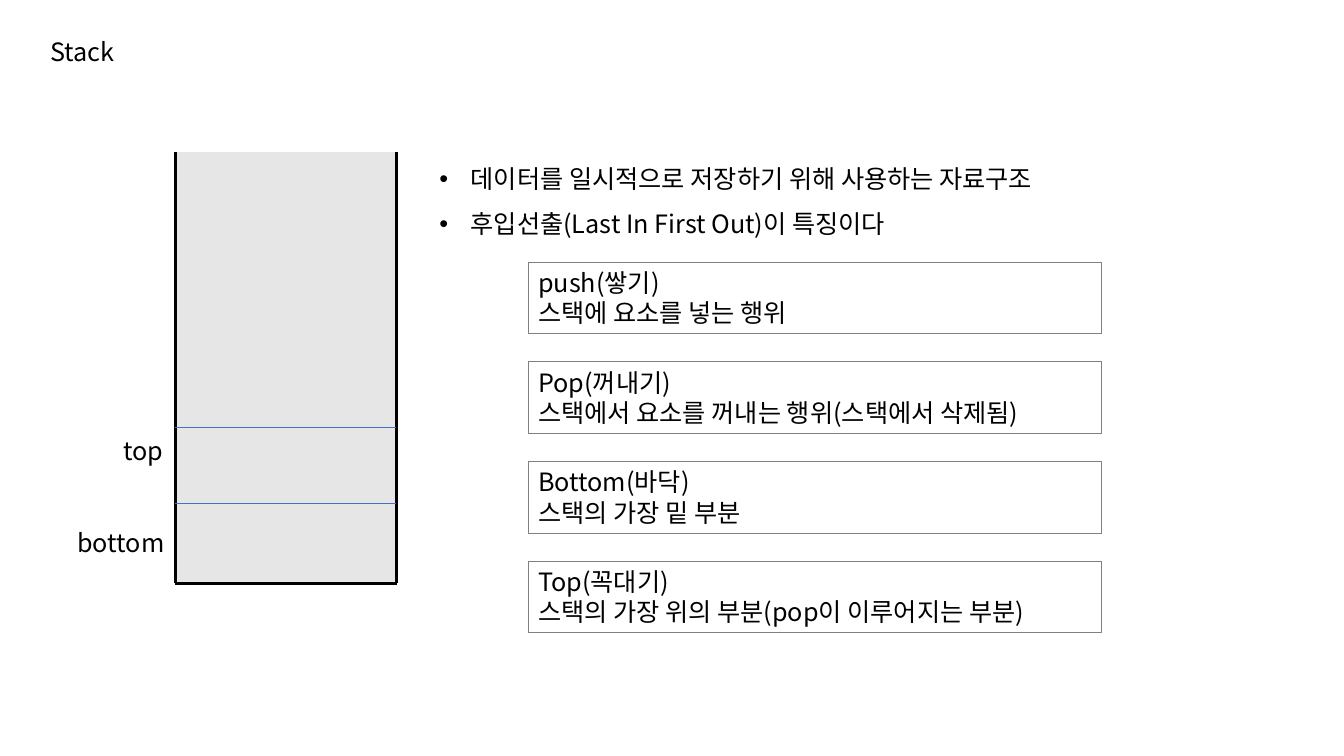
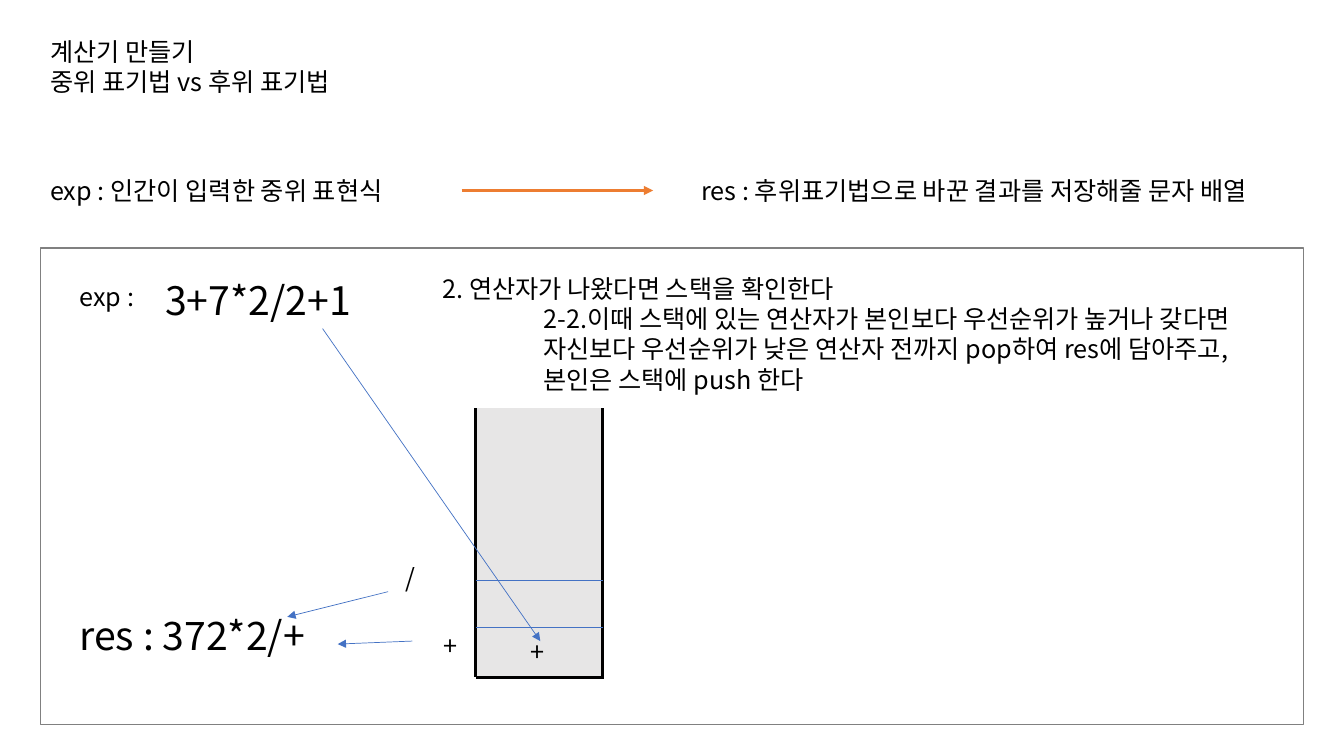
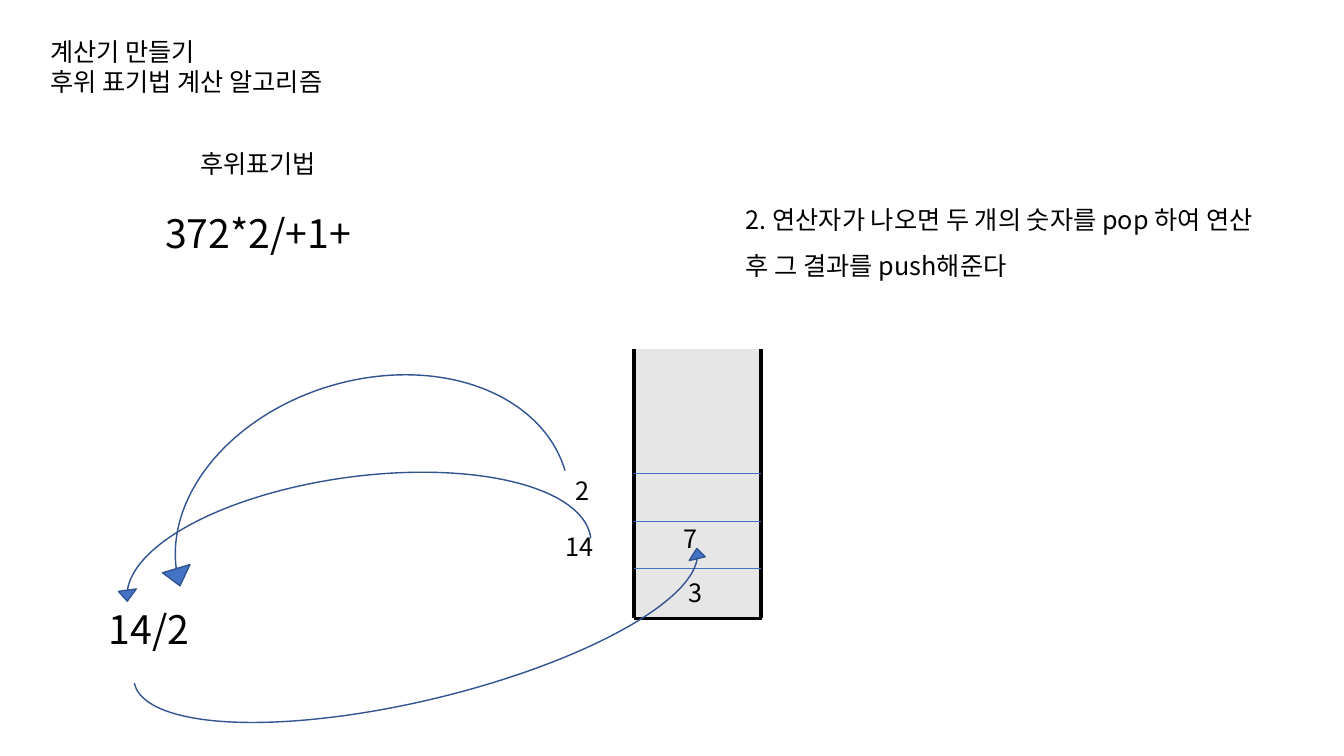
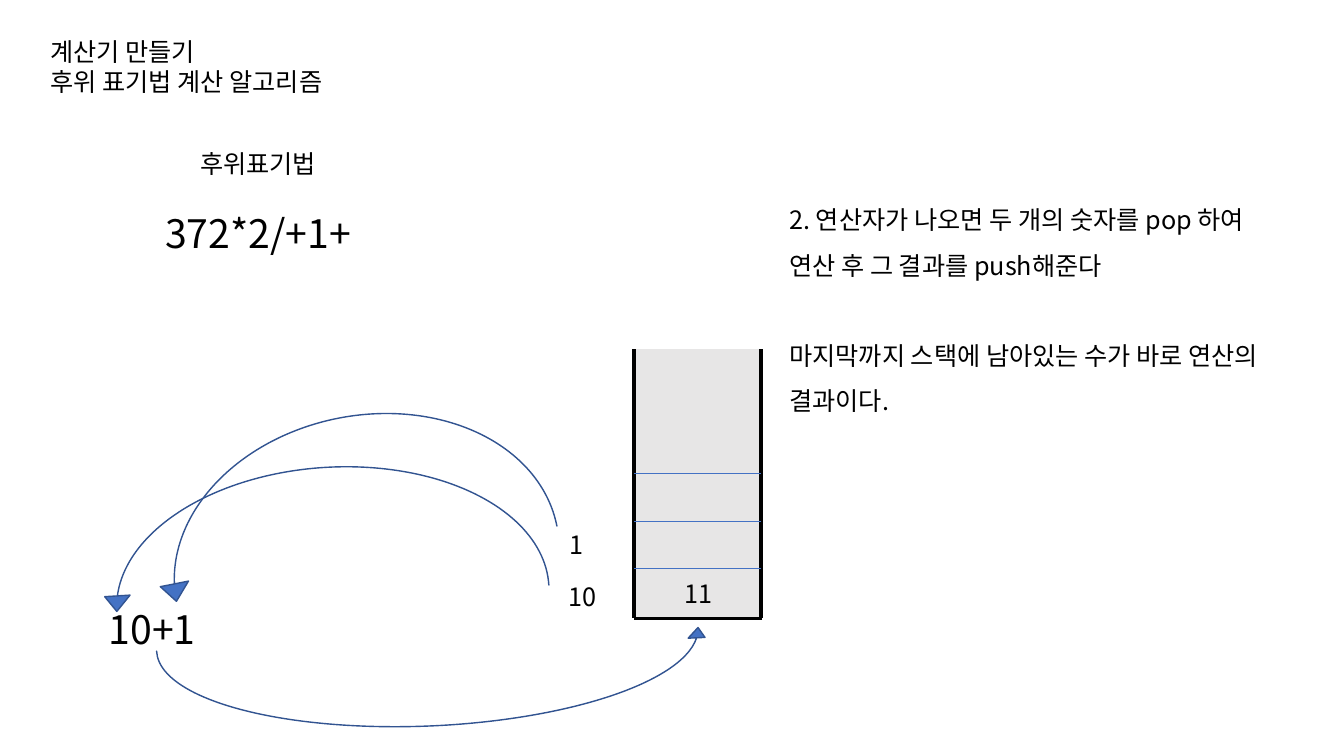
from dataclasses import dataclass
from typing import NamedTuple, Optional

from lxml.etree import SubElement
from pptx import Presentation
from pptx.dml.color import RGBColor
from pptx.enum.shapes import MSO_CONNECTOR, MSO_SHAPE
from pptx.enum.text import MSO_ANCHOR, MSO_AUTO_SIZE, PP_ALIGN
from pptx.oxml.ns import qn
from pptx.util import Inches, Pt

# Shared look
FONT = "Noto Sans CJK KR"
BLACK = RGBColor(0x00, 0x00, 0x00)
GREY = RGBColor(0x80, 0x80, 0x80)
STACK_GREY = RGBColor(0xE7, 0xE6, 0xE6)
BLUE = RGBColor(0x44, 0x72, 0xC4)
DARK_BLUE = RGBColor(0x32, 0x54, 0x91)
ORANGE = RGBColor(0xED, 0x7D, 0x31)
BODY_SIZE, LARGE_SIZE = 18, 28

# Grid of ten columns and ten rows to the inch
CELL = 0.1
SLIDE_COLUMNS, SLIDE_ROWS = 133.33, 75
FIRST_LEVEL, LEVEL_STEP = 0.815, 0.177  # shares of a stack's height


def grid(cells: float) -> int:
    return Inches(cells * CELL)


class Box(NamedTuple):
    column: float
    row: float
    width: float
    height: float

    def lengths(self) -> list[int]:
        return [grid(cells) for cells in self]


@dataclass
class Line:
    text: str
    size: int = BODY_SIZE
    align: PP_ALIGN = PP_ALIGN.LEFT
    spacing: float = 1.0
    before: float = 0
    indent: float = 0
    bullet: bool = False


@dataclass
class Label:
    text: str
    column: float
    row: float
    width: float = 6.9
    size: int = BODY_SIZE
    align: PP_ALIGN = PP_ALIGN.LEFT


@dataclass
class Stack:
    box: Box
    levels: int


class Stroke(NamedTuple):
    start: tuple[float, float]
    end: tuple[float, float]
    color: RGBColor = BLUE
    width: float = 0.5
    arrow: bool = False


class Curve(NamedTuple):
    box: Box
    rotation: float


@dataclass
class Page:
    title: list[str]
    body_box: Box
    body: list[Line]
    stack: Stack
    labels: list[Label]
    curves: tuple[Curve, ...] = ()
    strokes: tuple[Stroke, ...] = ()
    frame: Optional[Box] = None
    definitions: tuple[tuple[str, str], ...] = ()


# Text
def write_lines(shape, lines: list[Line]) -> None:
    frame = shape.text_frame
    settings = {"word_wrap": True, "auto_size": MSO_AUTO_SIZE.NONE,
                "vertical_anchor": MSO_ANCHOR.TOP}
    for name, value in settings.items():
        setattr(frame, name, value)
    for index, line in enumerate(lines):
        paragraph = frame.add_paragraph() if index else frame.paragraphs[0]
        settings = {"alignment": line.align, "line_spacing": line.spacing,
                    "space_before": Pt(line.before)}
        for name, value in settings.items():
            setattr(paragraph, name, value)
        properties = paragraph._p.get_or_add_pPr()
        properties.set("marL", str(grid(line.indent)))
        properties.set("indent", str(-grid(line.indent) if line.bullet else 0))
        if line.bullet:
            SubElement(properties, qn("a:buFont"), typeface="Arial")
            SubElement(properties, qn("a:buChar"), char="•")
        else:
            SubElement(properties, qn("a:buNone"))
        run = paragraph.add_run()
        run.text = line.text
        run.font.color.rgb = BLACK
        for name, value in {"name": FONT, "size": Pt(line.size)}.items():
            setattr(run.font, name, value)
        SubElement(run._r.get_or_add_rPr(), qn("a:ea"), typeface=FONT)


def place(shape, box: Box) -> None:
    for name, value in zip(("left", "top", "width", "height"), box.lengths()):
        setattr(shape, name, value)


def add_label(slide, label: Label) -> None:
    height = 4 if label.size == BODY_SIZE else 5.7
    box = Box(label.column, label.row, label.width, height)
    shape = slide.shapes.add_textbox(*box.lengths())
    write_lines(shape, [Line(label.text, label.size, label.align)])


# Drawing
def add_panel(slide, box: Box, fill: Optional[RGBColor] = None, width: float = 0):
    shape = slide.shapes.add_shape(MSO_SHAPE.RECTANGLE, *box.lengths())
    shape.shadow.inherit = False
    if fill is None:
        shape.fill.background()
    else:
        shape.fill.solid()
        shape.fill.fore_color.rgb = fill
    if width:
        shape.line.color.rgb = GREY
        shape.line.width = Pt(width)
    else:
        shape.line.fill.background()
    return shape


def add_stroke(slide, stroke: Stroke) -> None:
    ends = [grid(cells) for cells in (*stroke.start, *stroke.end)]
    connector = slide.shapes.add_connector(MSO_CONNECTOR.STRAIGHT, *ends)
    connector.line.color.rgb = stroke.color
    connector.line.width = Pt(stroke.width)
    if stroke.arrow:
        SubElement(connector.line._get_or_add_ln(), qn("a:tailEnd"), type="triangle")
    SubElement(connector._element.spPr, qn("a:effectLst"))


def add_stack(slide, stack: Stack) -> None:
    left, top, width, height = stack.box
    right, bottom = left + width - 0.1, top + height
    add_panel(slide, stack.box, STACK_GREY)
    walls = (((left, top), (left, bottom)), ((left + width, bottom), (left, bottom)),
             ((right, top), (right, bottom)))
    for start, end in walls:
        add_stroke(slide, Stroke(start, end, BLACK, 2.25))
    for level in range(stack.levels):
        row = top + height * (FIRST_LEVEL - LEVEL_STEP * level)
        add_stroke(slide, Stroke((left, row), (right, row)))


def add_curve(slide, curve: Curve) -> None:
    shape = slide.shapes.add_shape(MSO_SHAPE.CURVED_DOWN_ARROW, *curve.box.lengths())
    shape.shadow.inherit = False
    shape.rotation = curve.rotation
    shape._element.spPr.find(qn("a:xfrm")).set("flipH", "1")
    for index, share in enumerate((0, 0.194, 0.118)):
        shape.adjustments[index] = share
    shape.fill.solid()
    shape.fill.fore_color.rgb = BLUE
    shape.line.color.rgb = DARK_BLUE
    shape.line.width = Pt(1)


def add_page(presentation, page: Page) -> None:
    slide = presentation.slides.add_slide(presentation.slide_layouts[1])
    title, body = slide.shapes.title, slide.placeholders[1]
    place(title, Box(4, 3.1, 55.1, 7.1))
    write_lines(title, [Line(text) for text in page.title])
    place(body, page.body_box)
    write_lines(body, page.body)
    if page.frame:
        add_panel(slide, page.frame, width=1)
    add_stack(slide, page.stack)
    for index, texts in enumerate(page.definitions):
        panel = add_panel(slide, Box(52.4, 26 + 9.9 * index, 56.9, 7.1), width=0.75)
        write_lines(panel, [Line(text) for text in texts])
    for stroke in page.strokes:
        add_stroke(slide, stroke)
    for curve in page.curves:
        add_curve(slide, curve)
    for label in page.labels:
        add_label(slide, label)


# Content
CENTER = PP_ALIGN.CENTER
CALCULATOR = "계산기 만들기"
ALGORITHM_TITLE = [CALCULATOR, "후위 표기법 계산 알고리즘"]
OPERATOR_RULE = Line("2. 연산자가 나오면 두 개의 숫자를 pop 하여 연산 후 그 결과를 push해준다",
                     spacing=1.5)
CALCULATION_STACK = Stack(Box(62.9, 34.65, 12.7, 26.7), 3)
POSTFIX_LABELS = [
    Label("후위표기법", 4, 14.2, 43.2, align=CENTER),
    Label("372*2/+1+", 4, 20.3, 43.2, LARGE_SIZE, CENTER),
]

PAGES = [
    Page(
        title=["Stack"],
        body_box=Box(42.6, 14.2, 68.5, 9.5),
        body=[Line(text, spacing=1.5, indent=3.1, bullet=True) for text in (
            "데이터를 일시적으로 저장하기 위해 사용하는 자료구조",
            "후입선출(Last In First Out)이 특징이다")],
        stack=Stack(Box(17.4, 15.1, 22, 42.75), 2),
        labels=[Label("bottom", 6.7, 51.8, 18.7),
                Label("top", 4.9, 42.7, 18.7, align=CENTER)],
        definitions=(
            ("push(쌓기)", "스택에 요소를 넣는 행위"),
            ("Pop(꺼내기)", "스택에서 요소를 꺼내는 행위(스택에서 삭제됨)"),
            ("Bottom(바닥)", "스택의 가장 밑 부분"),
            ("Top(꼭대기)", "스택의 가장 위의 부분(pop이 이루어지는 부분)"),
        ),
    ),
    Page(
        title=[CALCULATOR, "중위 표기법 vs 후위 표기법"],
        body_box=Box(42.9, 26.6, 88.4, 13.1),
        body=[Line("2. 연산자가 나왔다면 스택을 확인한다")] + [
            Line(text, indent=10) for text in (
                "2-2.이때 스택에 있는 연산자가 본인보다 우선순위가 높거나 갖다면",
                "자신보다 우선순위가 낮은 연산자 전까지 pop하여 res에 담아주고,",
                "본인은 스택에 push 한다")],
        stack=Stack(Box(47.2, 40.5, 12.7, 26.7), 2),
        labels=[
            Label("exp : 인간이 입력한 중위 표현식", 4, 16.9, 38.9),
            Label("res : 후위표기법으로 바꾼 결과를 저장해줄 문자 배열", 68.6, 16.9, 62.6),
            Label("exp :", 6.9, 27.4, 10),
            Label("3+7*2/2+1", 4, 26.9, 43.2, LARGE_SIZE, CENTER),
            Label("res : 372*2/+", 6.9, 60.2, 43.2, LARGE_SIZE),
            Label("/", 39.2, 55.3),
            Label("+", 43, 62),
            Label("+", 51.6, 62.6),
        ],
        strokes=(
            Stroke((45.8, 18.9), (64.8, 18.9), ORANGE, 2.25, True),
            Stroke((32, 32.6), (53.6, 63.6), arrow=True),
            Stroke((38.5, 58.7), (28.5, 61.2), arrow=True),
            Stroke((40.9, 63.6), (33.5, 63.9), arrow=True),
        ),
        frame=Box(4, 24.6, 125.3, 47.3),
    ),
    Page(
        title=ALGORITHM_TITLE,
        body_box=Box(73, 18.3, 54.1, 9.5),
        body=[OPERATOR_RULE],
        stack=CALCULATION_STACK,
        labels=POSTFIX_LABELS + [
            Label("3", 67.3, 56.8),
            Label("7", 66.8, 51.4),
            Label("14", 55.1, 52.2),
            Label("2", 56.1, 46.7),
            Label("14/2", 9.8, 59.6, 43.2, LARGE_SIZE),
        ],
        curves=(Curve(Box(13.5, 38.2, 41.3, 14.7), 343.3),
                Curve(Box(10.9, 47.4, 47.3, 9.2), 352.2),
                Curve(Box(13.5, 60.9, 58.2, 8.4), 166.5)),
    ),
    Page(
        title=ALGORITHM_TITLE,
        body_box=Box(77.3, 18.3, 49.8, 23.1),
        body=[OPERATOR_RULE,
              Line("마지막까지 스택에 남아있는 수가 바로 연산의 결과이다.",
                   spacing=1.5, before=32)],
        stack=CALCULATION_STACK,
        labels=POSTFIX_LABELS + [
            Label("11", 66.9, 56.9),
            Label("10", 55.4, 57.2),
            Label("1", 55.5, 52),
            Label("10+1", 9.8, 59.6, 43.2, LARGE_SIZE),
        ],
        curves=(Curve(Box(14.3, 41.5, 39.9, 14.7), 348.8),
                Curve(Box(9.9, 46.4, 44.2, 13), 356.5),
                Curve(Box(15.7, 63.4, 54.6, 8.6), 177.5)),
    ),
]


def main() -> None:
    presentation = Presentation()
    presentation.slide_width = grid(SLIDE_COLUMNS)
    presentation.slide_height = grid(SLIDE_ROWS)
    for page in PAGES:
        add_page(presentation, page)
    presentation.save("out.pptx")


if __name__ == "__main__":
    main()
